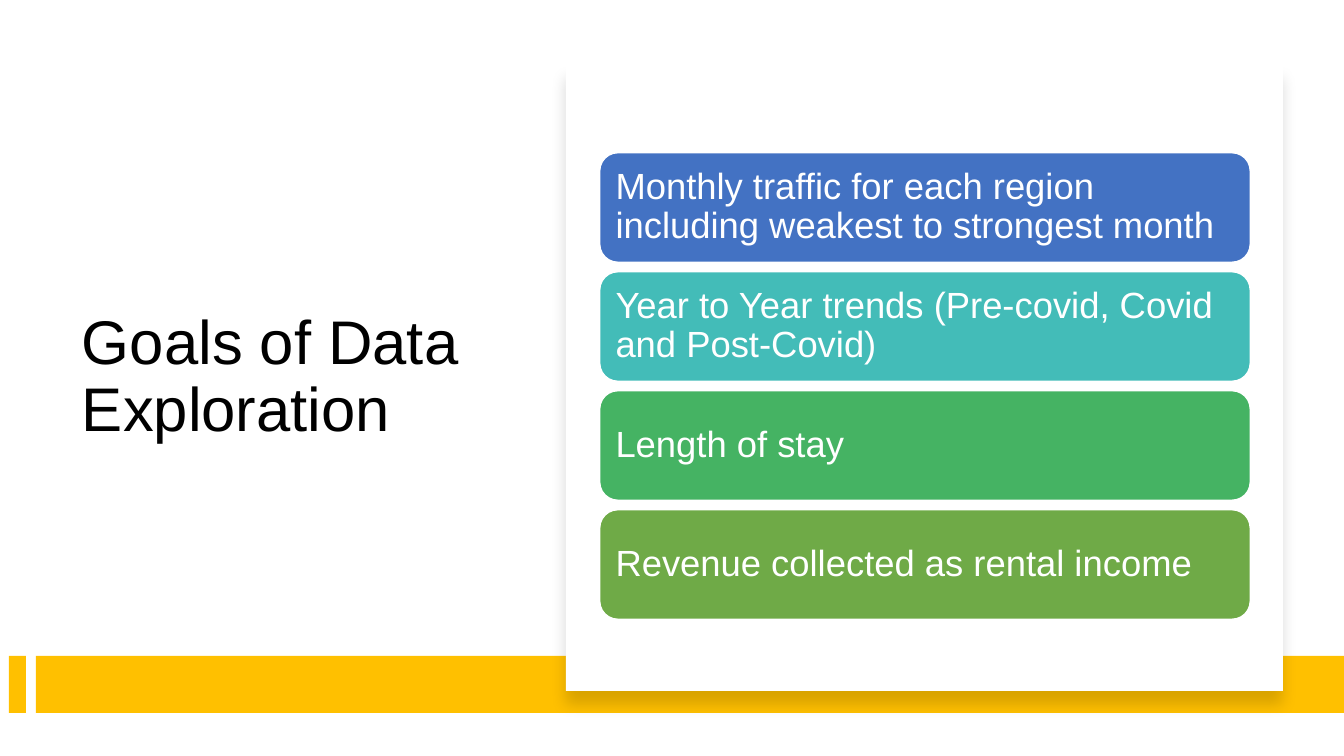
"""Build the slide listing the goals of data exploration."""
import lxml.etree
import pptx
import pptx.dml.color
import pptx.enum.shapes
import pptx.enum.text
import pptx.oxml
import pptx.oxml.ns
import pptx.util

PX = 914400 / 100.8
THEME = {
    "font": "Arial", "title_size": 44, "goal_size": 26,
    "ink": "000000", "paper": "FFFFFF", "accent": "FFC000",
    "goals": ["4372C3", "43BCB8", "45B363", "6FAA47"],
}
SHAPES = pptx.enum.shapes.MSO_SHAPE


def write(frame, text, *, size, color, inset_x, inset_y):
    frame.text = text
    frame.word_wrap = True
    frame.auto_size = pptx.enum.text.MSO_AUTO_SIZE.NONE
    frame.vertical_anchor = pptx.enum.text.MSO_ANCHOR.MIDDLE
    frame.margin_left = frame.margin_right = round(inset_x * PX)
    frame.margin_top = frame.margin_bottom = round(inset_y * PX)
    paragraph = frame.paragraphs[0]
    paragraph.alignment = pptx.enum.text.PP_ALIGN.LEFT
    paragraph.line_spacing = 0.9
    font = paragraph.runs[0].font
    font.name = THEME["font"]
    font.size = pptx.util.Pt(size)
    font.color.rgb = pptx.dml.color.RGBColor.from_string(color)


def add_block(kind, box, color):
    block = slide.shapes.add_shape(kind, *(round(length * PX) for length in box))
    block.shadow.inherit = False
    block.fill.solid()
    block.fill.fore_color.rgb = pptx.dml.color.RGBColor.from_string(color)
    block.line.fill.background()
    return block


deck = pptx.Presentation()
deck.slide_width = round(1344 * PX)
deck.slide_height = round(756 * PX)
slide = deck.slides.add_slide(deck.slide_layouts[5])

title = slide.shapes.title
title.left, title.top, title.width, title.height = (
    round(length * PX) for length in (72, 121, 418, 514))
write(title.text_frame, "Goals of Data Exploration", size=THEME["title_size"],
      color=THEME["ink"], inset_x=10, inset_y=5)

for band_left, band_width in ((9, 17), (36, 1308)):
    add_block(SHAPES.RECTANGLE, (band_left, 656, band_width, 57), THEME["accent"])

panel = add_block(SHAPES.RECTANGLE, (566, 65, 717, 626), THEME["paper"])
panel_effects = panel.element.spPr.find(pptx.oxml.ns.qn("a:effectLst"))
panel_shadow = lxml.etree.SubElement(
    panel_effects, pptx.oxml.ns.qn("a:outerShdw"),
    blurRad=str(pptx.util.Pt(11)), dist=str(pptx.util.Pt(10)),
    dir="5400000", algn="t", rotWithShape="0")
shadow_color = lxml.etree.SubElement(
    panel_shadow, pptx.oxml.ns.qn("a:srgbClr"), val=THEME["ink"])
lxml.etree.SubElement(shadow_color, pptx.oxml.ns.qn("a:alpha"), val="15000")

goals = [
    "Monthly traffic for each region including weakest to strongest month",
    "Year to Year trends (Pre-covid, Covid and Post-Covid)",
    "Length of stay",
    "Revenue collected as rental income",
]
for row, (goal, color) in enumerate(zip(goals, THEME["goals"])):
    card = add_block(SHAPES.ROUNDED_RECTANGLE, (599, 152 + 119 * row, 652, 111), color)
    card.adjustments[0] = 0.17
    card.line.color.rgb = pptx.dml.color.RGBColor.from_string(THEME["paper"])
    card.line.width = pptx.util.Pt(2)
    write(card.text_frame, goal, size=THEME["goal_size"], color=THEME["paper"],
          inset_x=11, inset_y=11)

deck.save("out.pptx")
